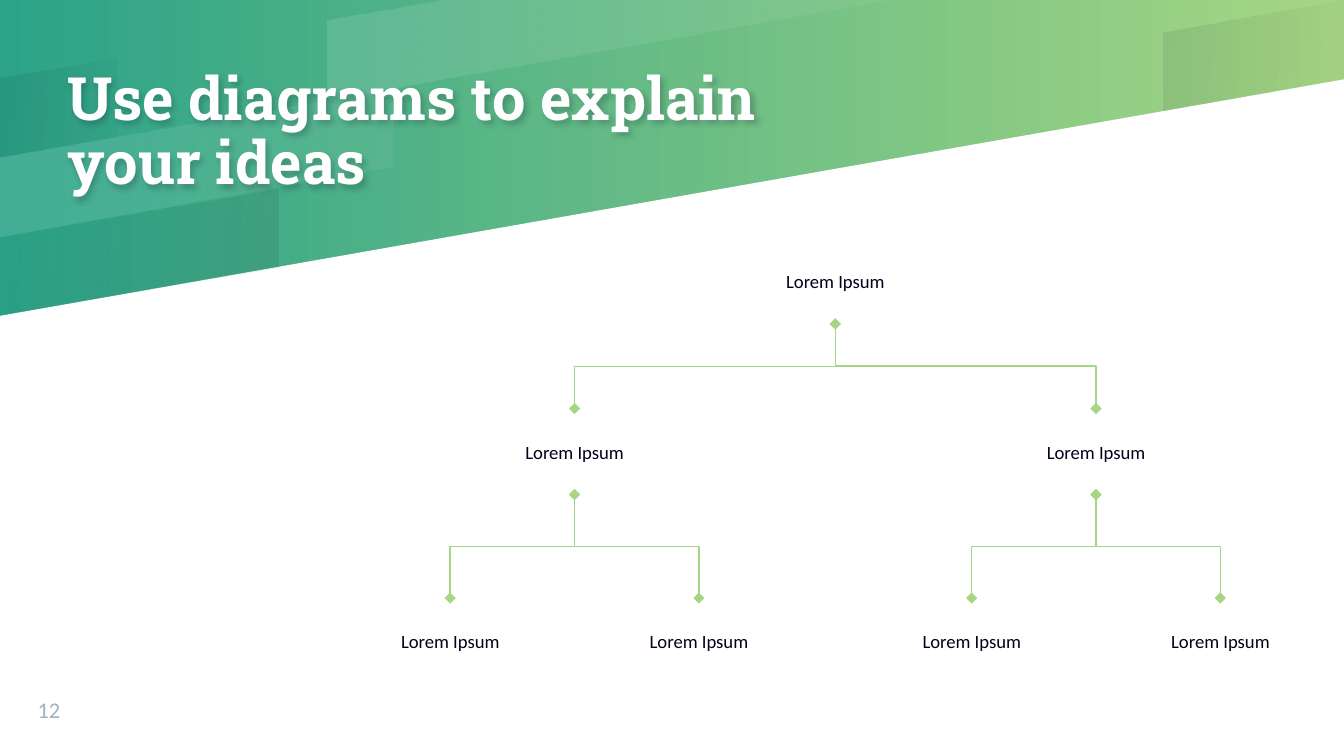
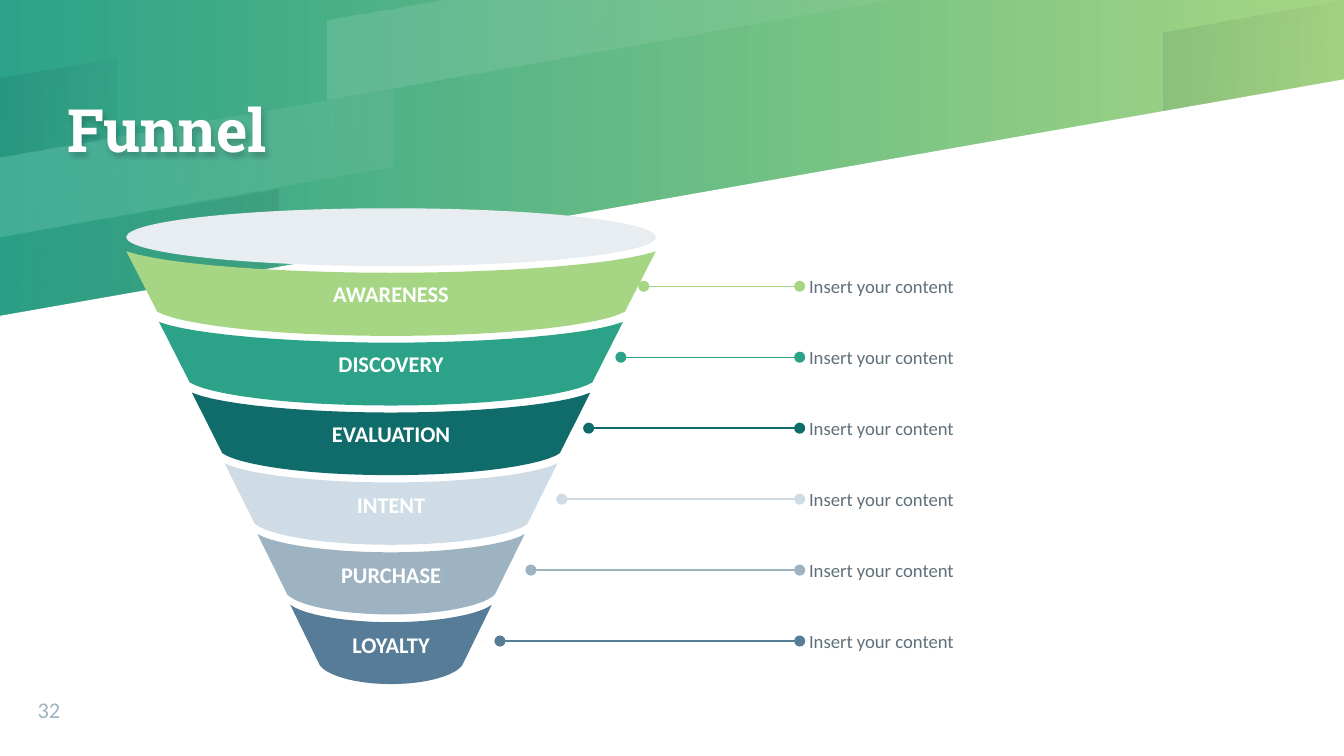
"""Build a tree diagram slide and a funnel slide that share one banded look."""
import pptx
import pptx.util
import pptx.dml.color
import pptx.enum.shapes
import pptx.enum.text
import pptx.oxml.ns
from lxml import etree

SCALE = 9144
WIDTH = 1000
HEIGHT = WIDTH * 9 / 16
HEADING_FONT, BODY_FONT = "Roboto Slab", "Calibri"
GREEN, LIME, DARK, WHITE = "2CA388", "A6D683", "106B6B", "FFFFFF"
PALE, MIST, SLATE, STEEL = "E8EDF1", "CFDCE6", "9EB3C2", "577C97"
INK, GREY = "00001A", "60707A"

LIGHT_BAND = (WHITE, (12, 5))
SHADE_BAND = (INK, (8, 2))
BANDS = [
    (*LIGHT_BAND, [(332, 0), (244, 15), (244, 74), (665, 0)]),
    (*SHADE_BAND, [(0, 58), (0, 117), (87, 102), (87, 43)]),
    (INK, (2, 8), [(0, 176), (0, 235), (207, 199), (207, 140)]),
    (*SHADE_BAND, [(1000, 0), (999, 0), (866, 24), (866, 82), (1000, 59)]),
    (*LIGHT_BAND, [(0, 117), (0, 176), (293, 124), (293, 66)]),
]
PAPER = [(0, HEIGHT), (WIDTH, HEIGHT), (WIDTH, 59), (0, 235)]

TREE_TITLE, TREE_NUMBER = "Use diagrams to explain your ideas", "12"
LEAF = ("Lorem Ipsum", [])
BRANCH = ("Lorem Ipsum", [LEAF, LEAF])
TREE = ("Lorem Ipsum", [BRANCH, BRANCH])
LEVEL_TOPS = [177, 304, 445]
NODE_WIDTH, NODE_HEIGHT = 168, 64
LEAF_CENTRES = [335 + 388 * pair + 185 * side for pair in range(2) for side in range(2)]

FUNNEL_TITLE, FUNNEL_NUMBER = "Funnel", "32"
FUNNEL_CENTRE = 291
STAGES = [
    ("AWARENESS", LIME, "Insert your content", 479),
    ("DISCOVERY", GREEN, "Insert your content", 462),
    ("EVALUATION", DARK, "Insert your content", 438),
    ("INTENT", MIST, "Insert your content", 418),
    ("PURCHASE", SLATE, "Insert your content", 395),
    ("LOYALTY", STEEL, "Insert your content", 372),
]


def px(value):
    return pptx.util.Emu(round(value * SCALE))


def rgb(colour):
    return pptx.dml.color.RGBColor.from_string(colour)


def add_child(parent, tag, **attributes):
    child = etree.SubElement(parent, pptx.oxml.ns.qn(tag))
    for name, value in attributes.items():
        child.set(name, str(value))
    return child


def set_gradient(fill, colours, angle):
    fill.gradient()
    fill.gradient_angle = angle
    for stop, colour in zip(fill.gradient_stops, colours):
        stop.color.rgb = rgb(colour)


def paint(shape, colour):
    shape.shadow.inherit = False
    shape.line.fill.background()
    shape.fill.solid()
    shape.fill.fore_color.rgb = rgb(colour)


def write(shape, text, size, colour, font=BODY_FONT, bold=False, align="LEFT",
          anchor="MIDDLE", insets=(0, 0), spacing=None):
    frame = shape.text_frame
    frame.word_wrap = True
    frame.vertical_anchor = getattr(pptx.enum.text.MSO_ANCHOR, anchor)
    frame.margin_left = frame.margin_right = px(insets[0])
    frame.margin_top = frame.margin_bottom = px(insets[1])
    paragraph = frame.paragraphs[0]
    paragraph.alignment = getattr(pptx.enum.text.PP_ALIGN, align)
    if spacing:
        paragraph.line_spacing = spacing
    run = paragraph.add_run()
    run.text = text
    run.font.name = font
    run.font.size = pptx.util.Pt(size)
    run.font.bold = bold
    run.font.color.rgb = rgb(colour)


def add_text(slide, left, top, width, height, text, size, colour, **style):
    box = slide.shapes.add_textbox(px(left), px(top), px(width), px(height))
    write(box, text, size, colour, **style)
    return box


def add_polygon(slide, points, colour):
    corners = [(px(x), px(y)) for x, y in points]
    builder = slide.shapes.build_freeform(*corners[0], scale=1.0)
    builder.add_line_segments(corners[1:], close=True)
    shape = builder.convert_to_shape()
    paint(shape, colour)
    return shape


def add_line(slide, kind, begin, end, colour, marker):
    connector_type = getattr(pptx.enum.shapes.MSO_CONNECTOR, kind)
    connector = slide.shapes.add_connector(
        connector_type, px(begin[0]), px(begin[1]), px(end[0]), px(end[1]))
    connector.line.width = pptx.util.Pt(0.75)
    connector.line.color.rgb = rgb(colour)
    properties = connector._element.spPr
    outline = properties.find(pptx.oxml.ns.qn("a:ln"))
    for tag in ("a:headEnd", "a:tailEnd"):
        add_child(outline, tag, type=marker)
    add_child(properties, "a:effectLst")
    return connector


def add_title(slide, title):
    box = add_text(slide, 50, 0, 600, 198, title, 32, WHITE,
                   font=HEADING_FONT, bold=True, spacing=0.9)
    effects = add_child(box._element.spPr, "a:effectLst")
    shadow = add_child(effects, "a:outerShdw", blurRad=38100, dist=28575,
                       dir=3600000, algn="bl", rotWithShape=0)
    add_child(add_child(shadow, "a:srgbClr", val=INK), "a:alpha", val=20000)


def start_slide(presentation, title, number):
    slide = presentation.slides.add_slide(presentation.slide_layouts[6])
    set_gradient(slide.background.fill, (GREEN, LIME), 0)
    add_polygon(slide, PAPER, WHITE)
    for colour, opacities, points in BANDS:
        band = add_polygon(slide, points, colour)
        set_gradient(band.fill, (colour, colour), 350)
        tints = band._element.spPr.iter(pptx.oxml.ns.qn("a:srgbClr"))
        for tint, opacity in zip(list(tints), opacities):
            add_child(tint, "a:alpha", val=opacity * 1000)
    add_title(slide, title)
    add_text(slide, 28, 511, 53, 27, number, 12, SLATE, anchor="BOTTOM")
    return slide


def add_branch(slide, parent_x, parent_y, child_x, child_y):
    middle_x, middle_y = (parent_x + child_x) / 2, (parent_y + child_y) / 2
    reach = abs(child_x - parent_x) / 2
    drop = (child_y - parent_y) / 2
    side = 1 if child_x > parent_x else -1
    connector = add_line(slide, "ELBOW", (middle_x + side * drop, middle_y - reach),
                         (middle_x - side * drop, middle_y + reach), LIME, "diamond")
    connector.rotation = 270


def add_node(slide, node, leaf_centres, level=0):
    label, children = node
    top = LEVEL_TOPS[level]
    centres = [add_node(slide, child, leaf_centres, level + 1) for child in children]
    centre = sum(centres) / len(centres) if centres else next(leaf_centres)
    for child_centre in centres:
        add_branch(slide, centre, top + NODE_HEIGHT, child_centre, LEVEL_TOPS[level + 1])
    add_text(slide, centre - NODE_WIDTH / 2, top, NODE_WIDTH, NODE_HEIGHT, label, 10, INK,
             align="CENTER", insets=(10, 10))
    return centre


def rim(half_width, edge_y, middle_y, outer, inner, dip, steps=12):
    left = []
    for step in range(steps + 1):
        t = step / steps
        u = 1 - t
        x = half_width * (u ** 3 + 3 * u * u * t * outer + 3 * u * t * t * inner)
        y = edge_y + (middle_y - edge_y) * (3 * u * u * t * dip + 3 * u * t * t + t ** 3)
        left.append((FUNNEL_CENTRE - x, y))
    return left + [(2 * FUNNEL_CENTRE - x, y) for x, y in reversed(left[:-1])]


def add_stage(slide, index, label, colour, note, line_start):
    drop = 52.6 * index
    upper = rim(197 - 24.4 * index, 187 + drop, 203 + 52 * index, 0.85, 0.41, 0.63)
    lower = rim(174 - 24.2 * index, 232 + drop, 250 + 51.8 * index, 0.91, 0.53, 0.5)
    shape = add_polygon(slide, upper + lower[::-1], colour)
    write(shape, label, 12, WHITE, bold=True, align="CENTER", insets=(7, 4))
    line_y = 213 + 52.8 * index
    add_line(slide, "STRAIGHT", (line_start, line_y), (595, line_y), colour, "oval")
    add_text(slide, 602, line_y - 19, 305, 38, note, 10, GREY)


def build_tree(presentation):
    slide = start_slide(presentation, TREE_TITLE, TREE_NUMBER)
    add_node(slide, TREE, iter(LEAF_CENTRES))


def build_funnel(presentation):
    slide = start_slide(presentation, FUNNEL_TITLE, FUNNEL_NUMBER)
    for index, stage in enumerate(STAGES):
        add_stage(slide, index, *stage)
    mouth = slide.shapes.add_shape(pptx.enum.shapes.MSO_SHAPE.OVAL,
                                   px(94), px(155), px(394), px(43))
    paint(mouth, PALE)


def main():
    presentation = pptx.Presentation()
    presentation.slide_width, presentation.slide_height = px(WIDTH), px(HEIGHT)
    build_tree(presentation)
    build_funnel(presentation)
    presentation.save("out.pptx")


if __name__ == "__main__":
    main()
